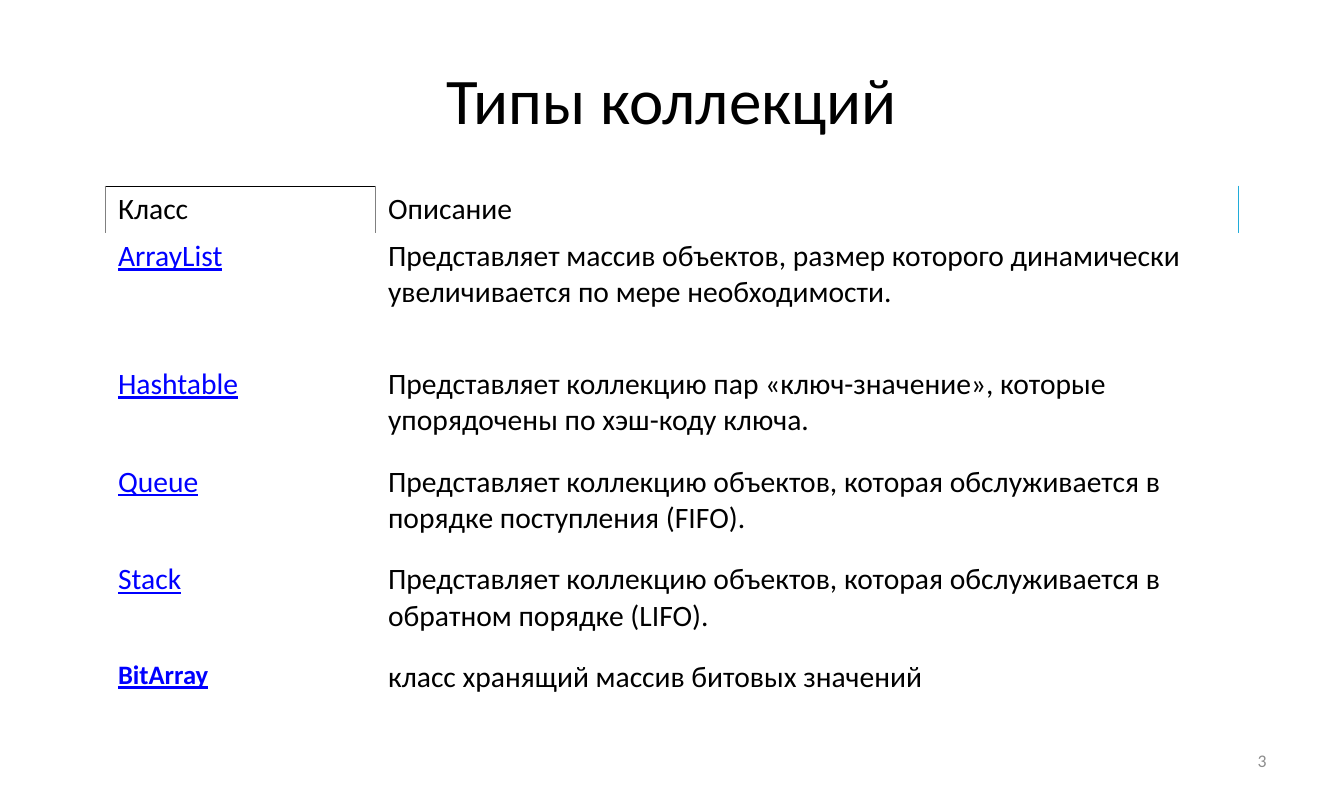
from dataclasses import dataclass, field

from lxml import etree
from pptx import Presentation
from pptx.dml.color import RGBColor
from pptx.enum import text as t
from pptx.oxml.ns import qn
from pptx.util import Inches, Pt

COLORS = {
    "background": "FFFFFF",
    "text": "000000",
    "link": "0000FF",
    "number": "8C8C8C",
    "grid": "FFFFFF",
    "header_top": "000000",
    "header_side": "808080",
    "header_end": "20ACDA",
}
FONT = "Calibri"
SLIDE_WIDTH, SLIDE_HEIGHT = 910 / 72, 7.5
COLUMN_WIDTHS = (2.54, 8.12)
HEADER_HEIGHT, FIRST_HEIGHT, ROW_HEIGHT = 0.41, 1.2, 0.92


@dataclass(frozen=True)
class Style:
    size: float = 20
    color: str = "text"
    bold: bool = False
    underline: bool = False


@dataclass(frozen=True)
class Entry:
    name: str
    description: str
    height: float = ROW_HEIGHT
    name_style: Style = field(default=Style(color="link", underline=True))


ENTRIES = (
    Entry("Класс", "Описание", HEADER_HEIGHT, Style()),
    Entry("ArrayList", "Представляет массив объектов, размер которого динамически "
          "увеличивается по мере необходимости.", FIRST_HEIGHT),
    Entry("Hashtable", "Представляет коллекцию пар «ключ-значение», которые "
          "упорядочены по хэш-коду ключа."),
    Entry("Queue", "Представляет коллекцию объектов, которая обслуживается в "
          "порядке поступления (FIFO)."),
    Entry("Stack", "Представляет коллекцию объектов, которая обслуживается в "
          "обратном порядке (LIFO)."),
    Entry("BitArray", "класс хранящий массив битовых значений",
          name_style=Style(18, "link", bold=True, underline=True)),
)
# Border colours of the header cells: left, right, top, bottom
HEADER_BORDERS = (
    ("header_side", "header_side", "header_top", "grid"),
    ("header_side", "header_end", "grid", "grid"),
)
GRID_BORDERS = ("grid",) * 4


def rgb(name: str) -> RGBColor:
    return RGBColor.from_string(COLORS[name])


def write(frame, content: str, style: Style, align=t.PP_ALIGN.LEFT) -> None:
    frame.text = content
    frame.word_wrap = True
    paragraph = frame.paragraphs[0]
    paragraph.alignment = align
    font = paragraph.runs[0].font
    font.name, font.size = FONT, Pt(style.size)
    font.bold, font.underline = style.bold, style.underline
    font.color.rgb = rgb(style.color)


def set_borders(cell, colors: tuple[str, ...]) -> None:
    """Insert the lines before the fill, as the schema requires."""
    properties = cell._tc.get_or_add_tcPr()
    for index, (side, color) in enumerate(zip("LRTB", colors)):
        width = Pt(1 if side in "LR" and color != "grid" else 0.75)
        line = etree.Element(qn(f"a:ln{side}"), w=str(width))
        solid = etree.SubElement(line, qn("a:solidFill"))
        etree.SubElement(solid, qn("a:srgbClr"), val=COLORS[color])
        properties.insert(index, line)


def fill_cell(cell, content: str, style: Style, borders: tuple[str, ...]) -> None:
    cell.margin_left = cell.margin_right = Inches(0.12)
    cell.margin_top = cell.margin_bottom = Inches(0.05)
    write(cell.text_frame, content, style)
    cell.fill.solid()
    cell.fill.fore_color.rgb = rgb("background")
    set_borders(cell, borders)


def add_collections_table(slide) -> None:
    table = slide.shapes.add_table(
        len(ENTRIES), len(COLUMN_WIDTHS), Inches(0.99), Inches(1.75),
        Inches(sum(COLUMN_WIDTHS)), Inches(sum(entry.height for entry in ENTRIES)),
    ).table
    table.first_row = table.horz_banding = False
    for column, width in zip(table.columns, COLUMN_WIDTHS):
        column.width = Inches(width)
    for row_index, entry in enumerate(ENTRIES):
        row = table.rows[row_index]
        row.height = Inches(entry.height)
        contents = ((entry.name, entry.name_style), (entry.description, Style()))
        for column_index, (content, style) in enumerate(contents):
            borders = GRID_BORDERS if row_index else HEADER_BORDERS[column_index]
            fill_cell(row.cells[column_index], content, style, borders)


def main() -> None:
    presentation = Presentation()
    presentation.slide_width = Inches(SLIDE_WIDTH)
    presentation.slide_height = Inches(SLIDE_HEIGHT)
    slide = presentation.slides.add_slide(presentation.slide_layouts[5])
    slide.background.fill.solid()
    slide.background.fill.fore_color.rgb = rgb("background")

    title = slide.shapes.title
    title.left, title.top = Inches(0.63), Inches(0.3)
    title.width, title.height = Inches(11.38), Inches(1.25)
    write(title.text_frame, "Типы коллекций", Style(44), t.PP_ALIGN.CENTER)
    title.text_frame.vertical_anchor = t.MSO_ANCHOR.MIDDLE

    add_collections_table(slide)

    number = slide.shapes.add_textbox(Inches(9.06), Inches(6.95), Inches(2.95), Inches(0.4))
    write(number.text_frame, "3", Style(12, "number"), t.PP_ALIGN.RIGHT)
    number.text_frame.vertical_anchor = t.MSO_ANCHOR.MIDDLE

    presentation.save("out.pptx")


if __name__ == "__main__":
    main()
